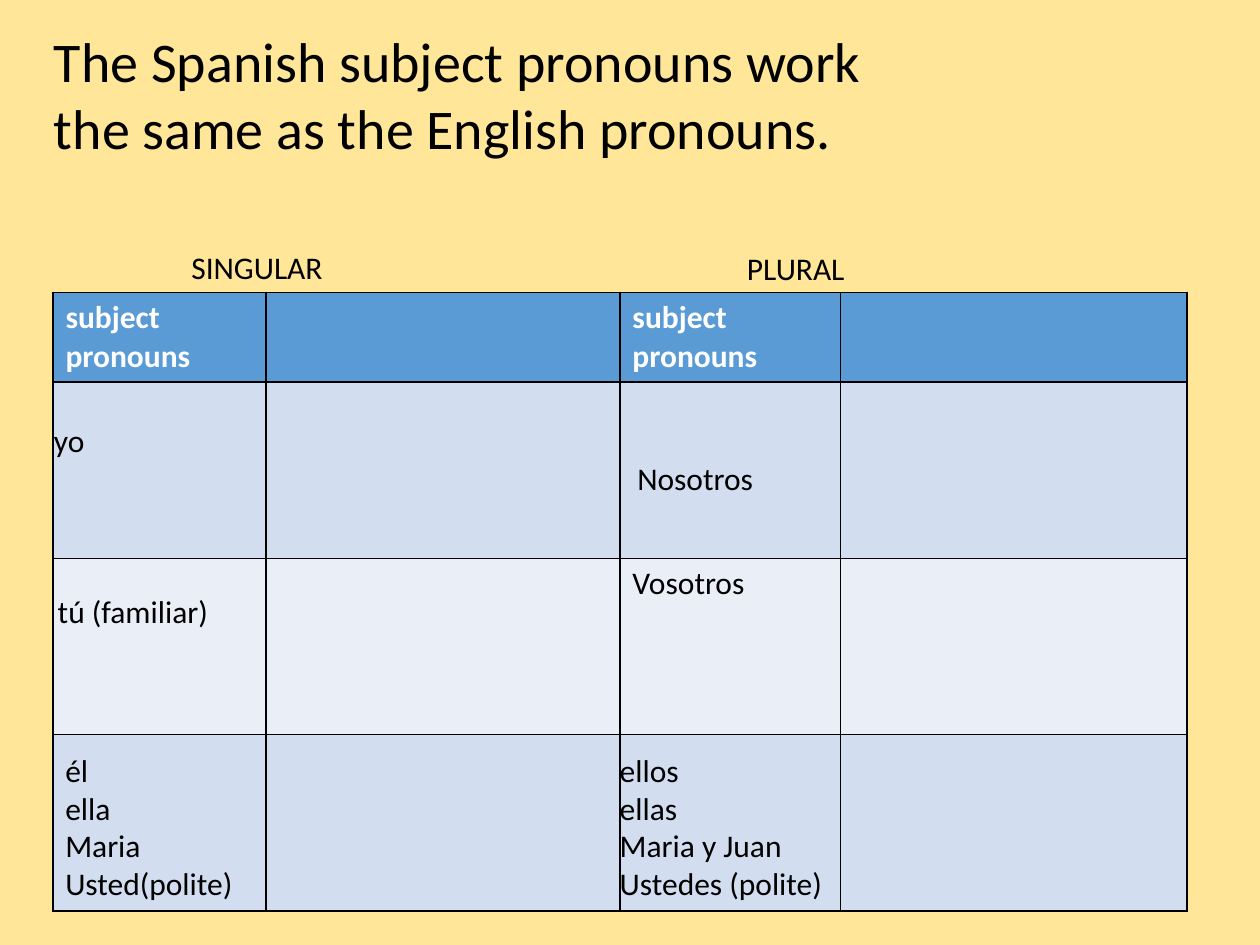
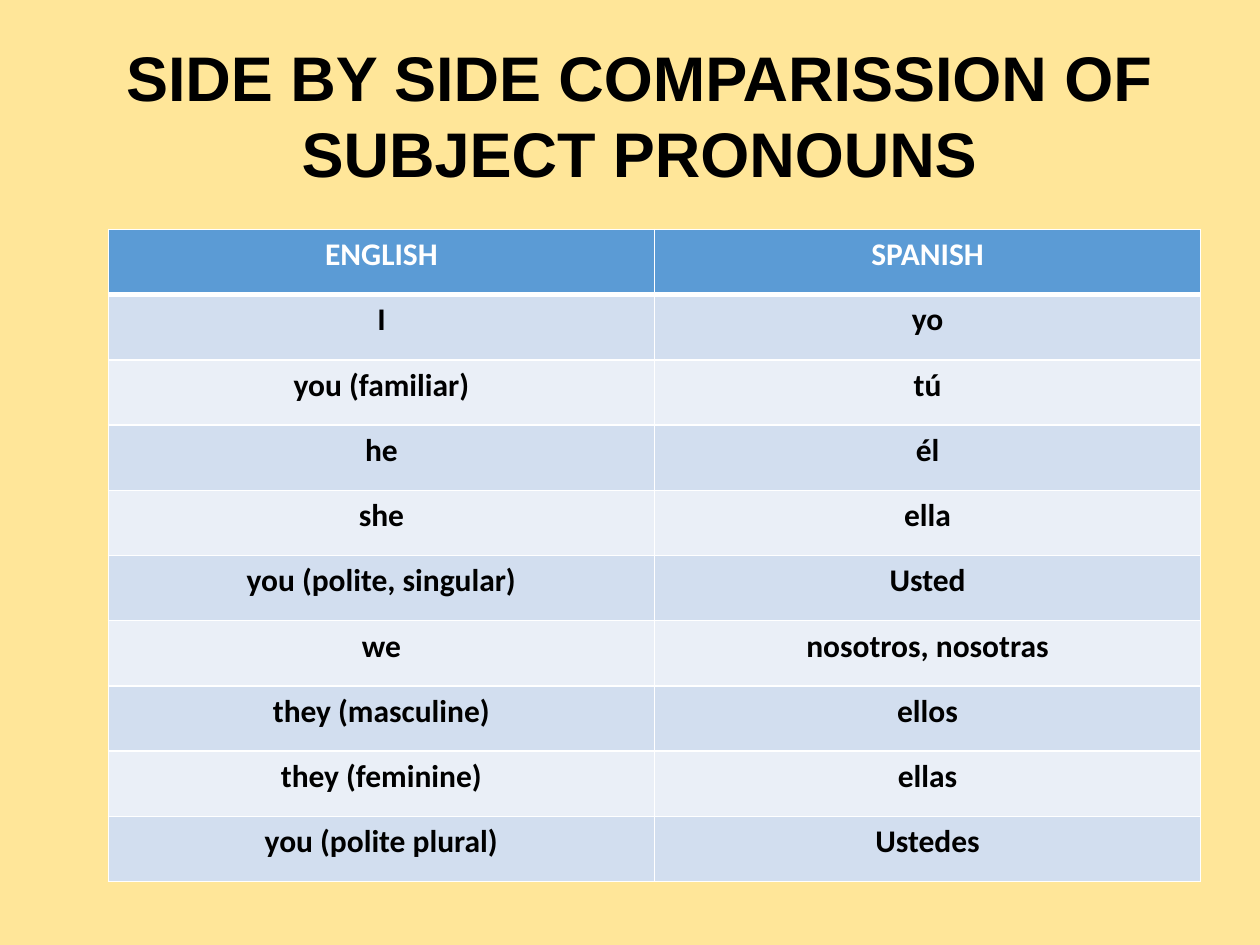
from dataclasses import dataclass
from typing import NamedTuple

from lxml.etree import SubElement
from pptx import Presentation
from pptx.dml.color import RGBColor
from pptx.enum.text import PP_PARAGRAPH_ALIGNMENT as Align
from pptx.oxml.ns import qn
from pptx.slide import Slide
from pptx.table import _Cell as Cell
from pptx.text.text import TextFrame
from pptx.util import Emu, Inches, Pt

# Slide grid: 100 columns by 75 rows
SLIDE_WIDTH, SLIDE_HEIGHT = Inches(10), Inches(7.5)
COLUMNS, ROWS = 100, 75


def cols(count: float) -> Emu:
    return Emu(round(SLIDE_WIDTH * count / COLUMNS))


def rows(count: float) -> Emu:
    return Emu(round(SLIDE_HEIGHT * count / ROWS))


class Style(NamedTuple):
    size: int
    color: str = "000000"
    font: str = "Calibri"
    bold: bool = False
    align: Align = Align.LEFT


@dataclass(frozen=True)
class Theme:
    background: str = "FFE699"
    header_fill: str = "5B9BD5"
    bands: tuple[str, str] = ("D2DEEF", "EAEFF7")
    black: str = "000000"
    white: str = "FFFFFF"
    statement: Style = Style(32)
    heading: Style = Style(36, font="Arial", bold=True, align=Align.CENTER)
    label: Style = Style(18)
    header: Style = Style(18, color="FFFFFF", bold=True)


THEME = Theme()


class Label(NamedTuple):
    """Text lines in a box measured in grid columns and rows."""
    left: float
    top: float
    width: float
    height: float
    lines: tuple[str, ...]
    style: Style = THEME.label


@dataclass(frozen=True)
class Chart:
    """A banded pronoun table; each cell holds lines of text."""
    left: float
    top: float
    widths: tuple[float, ...]
    heights: tuple[float, ...]
    cells: tuple[tuple[str, ...], ...]
    header: Style
    body: Style
    border: str
    header_rule: float = 1


# Spanish pronouns
STATEMENT = Label(3.3, 1.6, 93.3, 11.8, (
    "The Spanish subject pronouns work",
    "the same as the English pronouns."), THEME.statement)

PRONOUN_LABELS = (
    Label(14.2, 19.2, 14.2, 4, ("SINGULAR",)),
    Label(58.3, 19.3, 14.2, 4, ("PLURAL",)),
    Label(3.3, 32.9, 8.9, 4, ("yo",)),
    Label(3.6, 46.5, 14.5, 4, ("tú (familiar)",)),
    Label(4.2, 59.1, 16, 13.1, ("él", "ella", "Maria", "Usted(polite)")),
    Label(49.6, 35.9, 19, 4, ("Nosotros",)),
    Label(48.2, 59.1, 18.5, 13.1,
          ("ellos", "ellas", "Maria y Juan", "Ustedes (polite)")),
)

BLANK_ROW = ("",) * 4
PRONOUN_CHART = Chart(
    4.2, 23.2, (16.9, 28.1, 17.5, 27.5), (7, 14, 14, 14),
    (("subject\npronouns", "") * 2, BLANK_ROW, ("", "", "Vosotros", ""), BLANK_ROW),
    THEME.header, THEME.label, THEME.black)

# English and Spanish side by side
COMPARISON_TITLE = Label(
    6.2, 2.6, 89.1, 13.1,
    ("SIDE BY SIDE COMPARISSION OF SUBJECT PRONOUNS",), THEME.heading)

PRONOUN_PAIRS = (
    ("ENGLISH", "SPANISH"),
    ("I", "yo"),
    ("you (familiar)", "tú"),
    ("he", "él"),
    ("she", "ella"),
    ("you (polite, singular)", "Usted"),
    ("we", "nosotros, nosotras"),
    ("they (masculine)", "ellos"),
    ("they (feminine)", "ellas"),
    ("you (polite plural)", "Ustedes"),
)
COMPARISON_CHART = Chart(
    8.6, 18.2, (43.35,) * 2, (5.18,) * len(PRONOUN_PAIRS), PRONOUN_PAIRS,
    THEME.header._replace(align=Align.CENTER),
    THEME.label._replace(bold=True, align=Align.CENTER),
    THEME.white, header_rule=3)


def write(frame: TextFrame, lines: tuple[str, ...], style: Style) -> None:
    for index, line in enumerate(lines):
        paragraph = frame.paragraphs[0] if index == 0 else frame.add_paragraph()
        paragraph.alignment = style.align
        run = paragraph.add_run()
        run.text = line
        run.font.name = style.font
        run.font.size = Pt(style.size)
        run.font.bold = style.bold
        run.font.color.rgb = RGBColor.from_string(style.color)


def draw_label(slide: Slide, label: Label) -> None:
    box = slide.shapes.add_textbox(cols(label.left), rows(label.top),
                                   cols(label.width), rows(label.height))
    box.text_frame.word_wrap = True
    write(box.text_frame, label.lines, label.style)


def set_borders(cell: Cell, color: str, top: float, bottom: float) -> None:
    properties = cell._tc.get_or_add_tcPr()
    for side, width in (("L", 1), ("R", 1), ("T", top), ("B", bottom)):
        line = SubElement(properties, qn(f"a:ln{side}"), w=str(Pt(width)))
        SubElement(SubElement(line, qn("a:solidFill")), qn("a:srgbClr"), val=color)


def draw_chart(slide: Slide, chart: Chart) -> None:
    table = slide.shapes.add_table(
        len(chart.heights), len(chart.widths), cols(chart.left), rows(chart.top),
        cols(sum(chart.widths)), rows(sum(chart.heights))).table
    for column, width in zip(table.columns, chart.widths):
        column.width = cols(width)
    for row, height in zip(table.rows, chart.heights):
        row.height = rows(height)
    for r, entries in enumerate(chart.cells):
        fill = THEME.bands[(r - 1) % 2] if r else THEME.header_fill
        for c, entry in enumerate(entries):
            cell = table.cell(r, c)
            set_borders(cell, chart.border,
                        top=chart.header_rule if r == 1 else 1,
                        bottom=chart.header_rule if r == 0 else 1)
            cell.fill.solid()
            cell.fill.fore_color.rgb = RGBColor.from_string(fill)
            if entry:
                write(cell.text_frame, tuple(entry.split("\n")),
                      chart.body if r else chart.header)


def add_slide(deck, chart: Chart, labels: tuple[Label, ...]) -> None:
    slide = deck.slides.add_slide(deck.slide_layouts[6])
    slide.background.fill.solid()
    slide.background.fill.fore_color.rgb = RGBColor.from_string(THEME.background)
    draw_chart(slide, chart)
    for label in labels:
        draw_label(slide, label)


def main() -> None:
    deck = Presentation()
    deck.slide_width, deck.slide_height = SLIDE_WIDTH, SLIDE_HEIGHT
    add_slide(deck, PRONOUN_CHART, (STATEMENT, *PRONOUN_LABELS))
    add_slide(deck, COMPARISON_CHART, (COMPARISON_TITLE,))
    deck.save("out.pptx")


if __name__ == "__main__":
    main()
